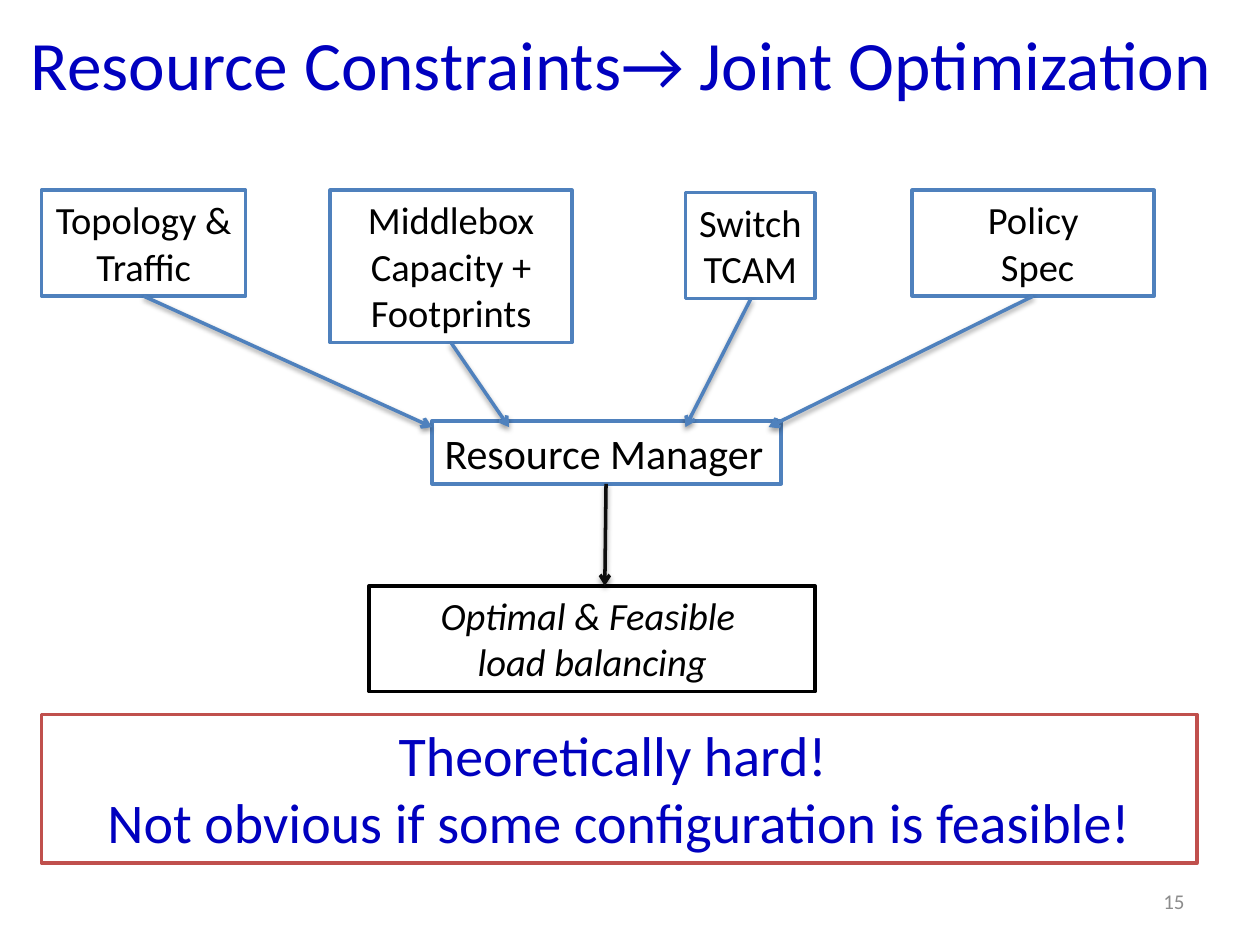
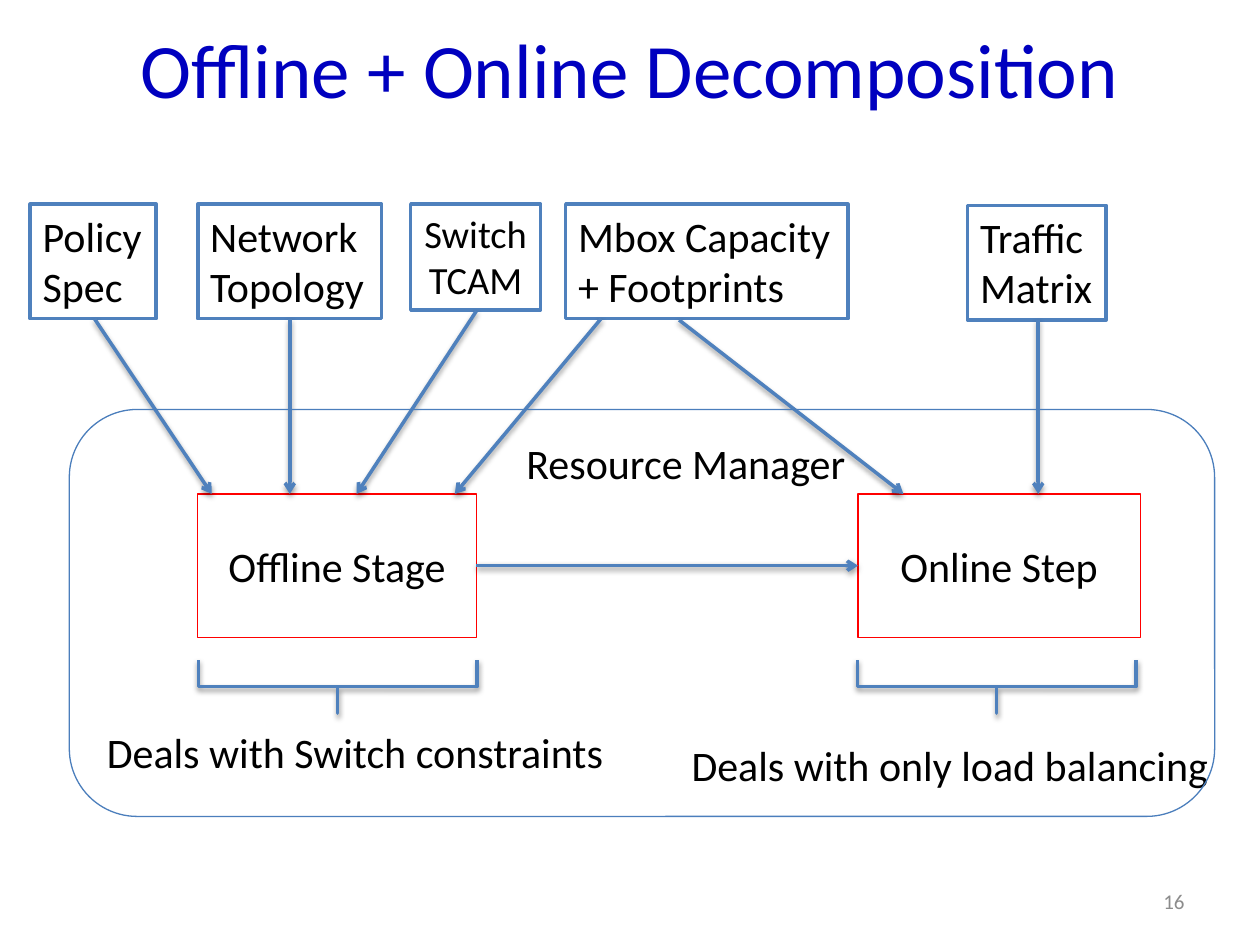
"""Build two slides on joint resource optimization and its offline and online split."""
from dataclasses import dataclass
from typing import Optional

from lxml.etree import SubElement
from pptx import Presentation
from pptx.dml.color import RGBColor
from pptx.enum.shapes import MSO_CONNECTOR, MSO_SHAPE
from pptx.enum.text import MSO_ANCHOR, MSO_AUTO_SIZE, PP_ALIGN
from pptx.oxml.ns import qn
from pptx.slide import Slide
from pptx.util import Inches, Pt

COLORS = {
    "title": "0000BF",
    "text": "000000",
    "page": "8C8C8C",
    "box": "FFFFFF",
    "blue": "4F81BD",
    "frame": "4B7EBC",
    "black": "000000",
    "output": "0D0D0D",
    "warning": "C0504D",
    "stage": "FF0000",
}
FONT = "Calibri"


@dataclass(frozen=True)
class Label:
    """Text at a place, with an optional outline and fill."""

    text: str
    left: float
    top: float
    width: float
    height: float
    size: float = 24
    color: str = "text"
    align: PP_ALIGN = PP_ALIGN.LEFT
    middle: bool = False
    wrap: bool = True
    italic: bool = False
    line: Optional[str] = None
    line_width: float = 2
    fill: Optional[str] = None


@dataclass(frozen=True)
class Arrow:
    """A straight arrow between two points."""

    x1: float
    y1: float
    x2: float
    y2: float
    color: str = "blue"


def rgb(name: str) -> RGBColor:
    """Return a palette colour."""
    return RGBColor.from_string(COLORS[name])


def add_shadow(properties) -> None:
    """Give shape properties a soft shadow that falls straight down."""
    effects = properties.find(qn("a:effectLst"))
    if effects is None:
        effects = SubElement(properties, qn("a:effectLst"))
    shadow = SubElement(effects, qn("a:outerShdw"), blurRad=str(Pt(3.1)),
                        dist=str(Pt(1.6)), dir="5400000", rotWithShape="0")
    tint = SubElement(shadow, qn("a:srgbClr"), val=COLORS["black"])
    SubElement(tint, qn("a:alpha"), val="38000")


def draw_outline(slide: Slide, kind: MSO_SHAPE, left: float, top: float,
                 width: float, height: float, line: str, line_width: float):
    """Draw an unfilled preset shape."""
    outline = slide.shapes.add_shape(
        kind, Inches(left), Inches(top), Inches(width), Inches(height))
    outline.shadow.inherit = False
    outline.fill.background()
    outline.line.color.rgb = rgb(line)
    outline.line.width = Pt(line_width)
    return outline


def draw_label(slide: Slide, label: Label) -> None:
    """Draw a label as a box or as plain text."""
    place = (label.left, label.top, label.width, label.height)
    if label.line:
        holder = draw_outline(slide, MSO_SHAPE.RECTANGLE, *place,
                              label.line, label.line_width)
        if label.fill:
            holder.fill.solid()
            holder.fill.fore_color.rgb = rgb(label.fill)
    else:
        holder = slide.shapes.add_textbox(*map(Inches, place))
    frame = holder.text_frame
    frame.text = label.text
    frame.word_wrap = label.wrap
    frame.vertical_anchor = MSO_ANCHOR.MIDDLE if label.middle else MSO_ANCHOR.TOP
    frame.auto_size = (MSO_AUTO_SIZE.NONE if label.middle
                       else MSO_AUTO_SIZE.SHAPE_TO_FIT_TEXT)
    for paragraph in frame.paragraphs:
        paragraph.alignment = label.align
        for run in paragraph.runs:
            run.font.name = FONT
            run.font.size = Pt(label.size)
            run.font.italic = label.italic
            run.font.color.rgb = rgb(label.color)


def draw_arrow(slide: Slide, arrow: Arrow) -> None:
    """Draw an arrow with an open head and a shadow."""
    ends = map(Inches, (arrow.x1, arrow.y1, arrow.x2, arrow.y2))
    connector = slide.shapes.add_connector(MSO_CONNECTOR.STRAIGHT, *ends)
    connector.line.color.rgb = rgb(arrow.color)
    connector.line.width = Pt(2)
    SubElement(connector.line._get_or_add_ln(), qn("a:tailEnd"), type="arrow")
    add_shadow(connector._element.spPr)


def draw_bracket(slide: Slide, center: float, top: float, span: float, depth: float) -> None:
    """Draw a square bracket that opens upwards and points down."""
    bracket = draw_outline(slide, MSO_SHAPE.RIGHT_BRACE, center - depth / 2,
                           top + (depth - span) / 2, depth, span, "blue", 2)
    bracket.adjustments[0] = 0
    bracket.adjustments[1] = 0.5
    bracket.rotation = 90
    add_shadow(bracket._element.spPr)


def input_box(text: str, left: float, top: float, width: float, height: float,
              size: float = 24, align: PP_ALIGN = PP_ALIGN.LEFT, wrap: bool = False) -> Label:
    """Describe a white box with a blue outline."""
    return Label(text, left, top, width, height, size, align=align, wrap=wrap,
                 line="blue", fill="box")


def stage_box(text: str, left: float, width: float) -> Label:
    """Describe a processing stage with a red outline."""
    return Label(text, left, 3.92, width, 1.14, align=PP_ALIGN.CENTER, middle=True,
                 line="stage", line_width=0.75)


def title(text: str, left: float, top: float, width: float, height: float, size: float) -> Label:
    """Describe a slide title."""
    return Label(text, left, top, width, height, size, "title", PP_ALIGN.CENTER, True)


def build_slide(deck, heading: Label, page: int, labels: list[Label], arrows: list[Arrow]) -> Slide:
    """Add a slide with its title, page number, labels and arrows."""
    slide = deck.slides.add_slide(deck.slide_layouts[6])
    number = Label(str(page), 7.17, 6.95, 2.33, 0.4, 12, "page", PP_ALIGN.RIGHT, True)
    for label in [heading, number, *labels]:
        draw_label(slide, label)
    for arrow in arrows:
        draw_arrow(slide, arrow)
    return slide


def build_joint_optimization(deck) -> None:
    """Build the slide on constraints that feed one resource manager."""
    center = PP_ALIGN.CENTER
    labels = [
        input_box("Resource Manager", 3.43, 3.34, 2.77, 0.5),
        input_box("Topology & Traffic", 0.33, 1.51, 1.62, 0.84, 22, center, True),
        input_box("Switch \nTCAM", 5.44, 1.53, 1.03, 0.84, 22, center),
        input_box("Middlebox\nCapacity + Footprints", 2.62, 1.51, 1.92, 1.21, 22, center, True),
        input_box("Policy\n Spec", 7.24, 1.51, 1.92, 0.84, 22, center, True),
        Label("Optimal & Feasible \nload balancing", 2.93, 4.65, 3.54, 0.84, 22,
              align=center, italic=True, line="black", fill="box"),
        Label("Theoretically hard! \nNot obvious if some configuration is feasible!",
              0.33, 5.67, 9.17, 1.18, 32, "title", center, line="warning", fill="box"),
    ]
    arrows = [
        Arrow(1.14, 2.35, 3.43, 3.39),
        Arrow(3.58, 2.72, 4.04, 3.39),
        Arrow(5.96, 2.37, 5.44, 3.39),
        Arrow(8.2, 2.35, 6.1, 3.39),
        Arrow(4.81, 3.84, 4.8, 4.65, "output"),
    ]
    heading = title("Resource Constraints→ Joint Optimization", 0, 0, 9.86, 1, 39.6)
    build_slide(deck, heading, 15, labels, arrows)


def build_decomposition(deck) -> None:
    """Build the slide on the offline stage and the online step."""
    labels = [
        stage_box("Offline Stage", 1.57, 2.21),
        stage_box("Online Step", 6.81, 2.24),
        Label("Deals with Switch constraints", 0.75, 5.72, 4.56, 0.5),
        Label("Deals with only load balancing", 5.39, 5.82, 5.07, 0.5),
        Label("Resource Manager", 4.08, 3.42, 3.15, 0.5),
        input_box("Policy\nSpec", 0.24, 1.62, 1, 0.91),
        input_box("Network\nTopology", 1.57, 1.62, 1.46, 0.91),
        input_box("Switch \nTCAM", 3.26, 1.62, 1.03, 0.84, 22, PP_ALIGN.CENTER),
        input_box("Mbox Capacity\n+ Footprints", 4.49, 1.62, 2.24, 0.91),
        input_box("Traffic\nMatrix", 7.68, 1.63, 1.1, 0.91),
    ]
    stage_top = 3.92
    arrows = [
        Arrow(3.78, 4.49, 6.81, 4.49),
        Arrow(0.75, 2.53, 1.68, stage_top),
        Arrow(2.3, 2.53, 2.3, stage_top),
        Arrow(3.78, 2.47, 2.83, stage_top),
        Arrow(4.77, 2.53, 3.61, stage_top),
        Arrow(5.39, 2.54, 7.17, stage_top),
        Arrow(8.24, 2.54, 8.24, stage_top),
    ]
    heading = title("Offline + Online Decomposition", 0.5, 0.06, 9, 0.96, 44)
    slide = build_slide(deck, heading, 16, labels, arrows)
    draw_outline(slide, MSO_SHAPE.ROUNDED_RECTANGLE, 0.55, 3.25, 9.09, 3.23, "frame", 0.75)
    for center in (2.68, 7.91):
        draw_bracket(slide, center, 5.24, 2.21, 0.42)


def main() -> None:
    """Build and save the deck."""
    deck = Presentation()
    deck.slide_width = Inches(10)
    deck.slide_height = Inches(7.5)
    build_joint_optimization(deck)
    build_decomposition(deck)
    deck.save("out.pptx")


if __name__ == "__main__":
    main()
